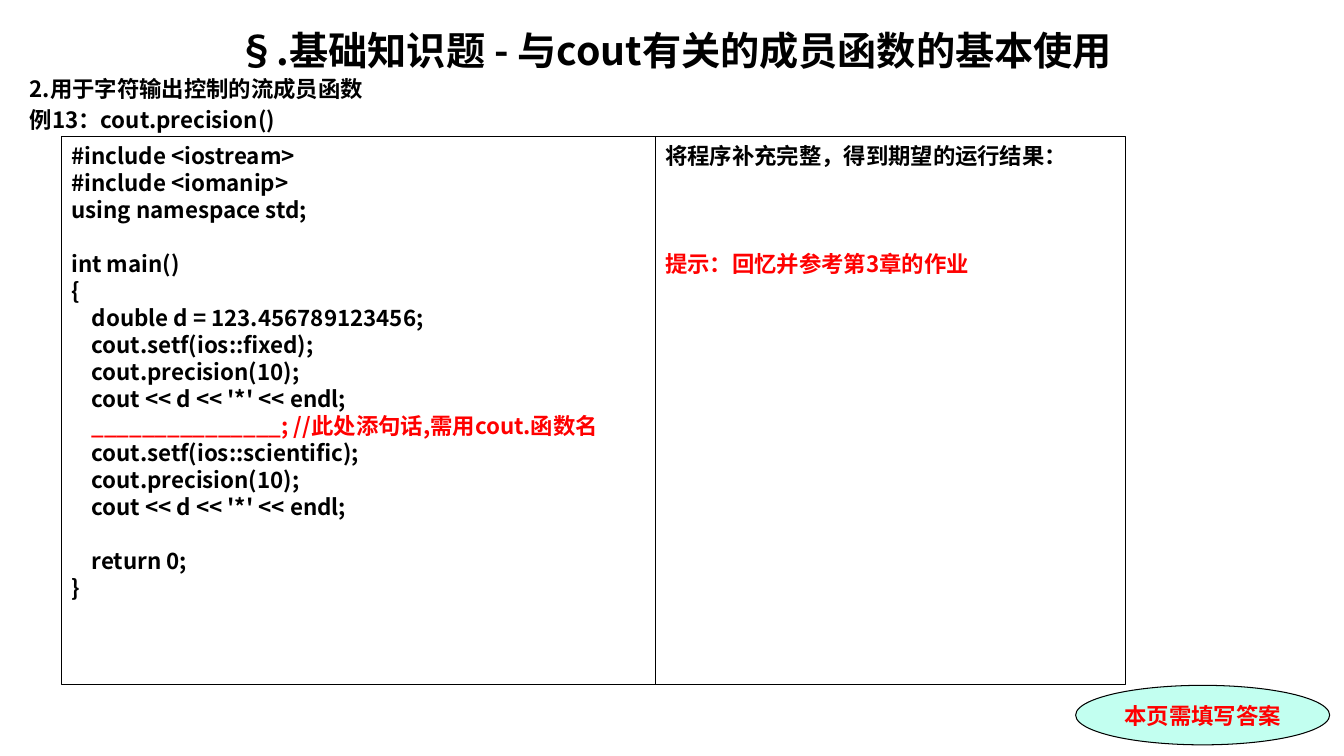
from pptx import Presentation
from pptx import util as u
from pptx.dml import color
from pptx.enum import shapes, text
from pptx.oxml import ns
from lxml import etree

BLACK, RED, MINT = "000000", "FF0000", "C2FFF0"
LINE_RATIO = 1.205


def rgb(value):
    return color.RGBColor.from_string(value)


class SlideBuilder:
    font = "Noto Sans CJK SC"
    size = 16

    def __init__(self, slide):
        self.slide = slide

    def add_lines(self, frame, lines, size=size, font=font, align=text.PP_ALIGN.LEFT,
                  anchor=text.MSO_ANCHOR.TOP, inset=(0.25, 0.13)):
        """Each line is (words, colour, space before in points)."""
        frame.word_wrap = True
        frame.auto_size = text.MSO_AUTO_SIZE.NONE
        frame.vertical_anchor = anchor
        frame.margin_left = frame.margin_right = u.Cm(inset[0])
        frame.margin_top = frame.margin_bottom = u.Cm(inset[1])
        for number, (words, tint, before) in enumerate(lines):
            para = frame.add_paragraph() if number else frame.paragraphs[0]
            para.alignment = align
            para.line_spacing = u.Pt(round(size * LINE_RATIO, 1))
            para.space_before = u.Pt(before)
            para.font.size = u.Pt(size)
            if not words:
                continue
            run = para.add_run()
            run.text = words
            run.font.name = font
            run.font.size = u.Pt(size)
            run.font.bold = True
            run.font.color.rgb = rgb(tint)
            east_asian = etree.SubElement(run.font._element, ns.qn("a:ea"))
            east_asian.set("typeface", self.font)

    def title(self, words, left, top, width, height):
        heading = self.slide.shapes.title
        heading.left, heading.top = u.Cm(left), u.Cm(top)
        heading.width, heading.height = u.Cm(width), u.Cm(height)
        self.add_lines(heading.text_frame, [(words, BLACK, 0)], size=28,
                       align=text.PP_ALIGN.CENTER, inset=(0.25, 0))

    def label(self, lines, left, top, width, height):
        box = self.slide.shapes.add_textbox(*map(u.Cm, (left, top, width, height)))
        self.add_lines(box.text_frame, lines, inset=(0.25, 0))

    def panel(self, kind, lines, left, top, width, height, fill=None, **style):
        shape = self.slide.shapes.add_shape(kind, *map(u.Cm, (left, top, width, height)))
        shape.shadow.inherit = False
        if fill:
            shape.fill.solid()
            shape.fill.fore_color.rgb = rgb(fill)
        else:
            shape.fill.background()
        shape.line.color.rgb = rgb(BLACK)
        shape.line.width = u.Pt(0.75)
        self.add_lines(shape.text_frame, lines, **style)


CODE = """#include <iostream>
#include <iomanip>
using namespace std;

int main()
{
    double d = 123.456789123456;
    cout.setf(ios::fixed);
    cout.precision(10);
    cout << d << '*' << endl;
    _______________; //此处添句话,需用cout.函数名
    cout.setf(ios::scientific);
    cout.precision(10);
    cout << d << '*' << endl;

    return 0;
}"""


def main():
    deck = Presentation()
    deck.slide_width, deck.slide_height = u.Cm(33.86), u.Cm(19.05)
    page = SlideBuilder(deck.slides.add_slide(deck.slide_layouts[5]))

    # Headings
    page.title("§.基础知识题 - 与cout有关的成员函数的基本使用", 0.5, 0.66, 33, 1.2)
    page.label([("2.用于字符输出控制的流成员函数", BLACK, 0),
                ("例13：cout.precision()", BLACK, 3.2)], 0.5, 1.88, 33, 1.5)

    # Program and task, side by side
    left, top, height = 1.55, 3.45, 13.79
    code_width, task_width = 14.96, 11.84
    program = [(line, RED if "____" in line else BLACK, 0) for line in CODE.split("\n")]
    page.panel(shapes.MSO_SHAPE.RECTANGLE, program, left, top, code_width, height)
    task = [("将程序补充完整，得到期望的运行结果：", BLACK, 0),
            ("提示：回忆并参考第3章的作业", RED, 58)]
    page.panel(shapes.MSO_SHAPE.RECTANGLE, task, left + code_width, top, task_width, height)

    # Answer reminder
    page.panel(shapes.MSO_SHAPE.OVAL, [("本页需填写答案", RED, 0)], 27.1, 17.27, 6.4, 1.5,
               fill=MINT, font="Times New Roman", align=text.PP_ALIGN.CENTER,
               anchor=text.MSO_ANCHOR.MIDDLE)

    deck.save("out.pptx")


if __name__ == "__main__":
    main()
